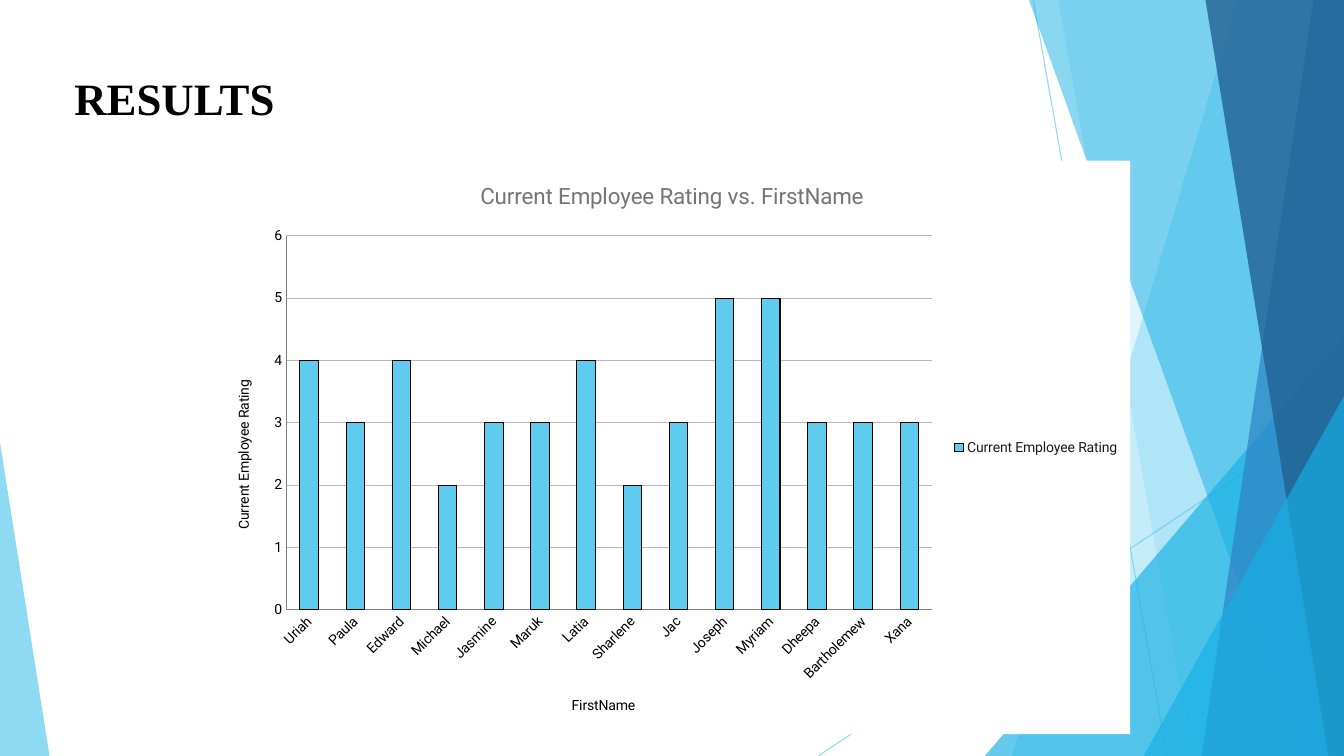
from lxml import etree
from pptx import Presentation
from pptx.chart.data import CategoryChartData
from pptx.dml.color import RGBColor
from pptx.enum import chart as charts, shapes, text
from pptx.oxml import parse_xml
from pptx.oxml.ns import nsdecls, qn
from pptx.util import Cm, Pt

COLOURS = {
    "sky": "5FCBEF", "cyan": "17B0E4", "blue": "2E83C3", "navy": "226292",
    "black": "000000", "white": "FFFFFF", "grid": "B7B7B7", "axis": "808080",
    "heading": "757575", "legend": "1A1A1A",
}
WIDTH, HEIGHT = 33.87, 19.05
RATINGS = {
    "Uriah": 4, "Paula": 3, "Edward": 4, "Michael": 2, "Jasmine": 3,
    "Maruk": 3, "Latia": 4, "Sharlene": 2, "Jac": 3, "Joseph": 5,
    "Myriam": 5, "Dheepa": 3, "Bartholemew": 3, "Xana": 3,
}
RATING_TITLE = "Current Employee Rating"
RAYS = [((26.04, 0), (29.41, 19.05)), ((33.87, 10.24), (20.62, 19.05))]
FACETS = [
    ("band", 31.19, 25.5, "sky", 36),
    ("band", 26.67, 30.05, "sky", 20),
    ("corner", 9.05, 10.59, "cyan", 66),
    ("band", 25.93, 32.79, "cyan", 50),
    ("band", 33.1, 30.28, "blue", 70),
    ("band", 30.38, 33.48, "navy", 80),
    ("corner", 5.05, 9.07, "cyan", 66),
]


def rgb(name):
    return RGBColor.from_string(COLOURS[name])


def set_opacity(element, percent):
    colour = next(element.iter(qn("a:srgbClr")))
    etree.SubElement(colour, qn("a:alpha")).set("val", str(percent * 1000))


def style_facet(shape, colour, opacity):
    shape.shadow.inherit = False
    shape.fill.solid()
    shape.fill.fore_color.rgb = rgb(colour)
    shape.line.fill.background()
    set_opacity(shape._element.spPr, opacity)


def add_ray(slide, start, end):
    ray = slide.shapes.add_connector(
        shapes.MSO_CONNECTOR.STRAIGHT, *map(Cm, start + end))
    ray.line.color.rgb = rgb("sky")
    ray.line.width = Pt(0.75)
    set_opacity(ray._element.spPr, 70)
    etree.SubElement(ray._element.spPr, qn("a:effectLst"))


def add_band(slide, top_x, bottom_x, right, height):
    builder = slide.shapes.build_freeform(Cm(top_x), 0)
    builder.add_line_segments([
        (Cm(right), 0), (Cm(right), Cm(height)), (Cm(bottom_x), Cm(height))])
    return builder.convert_to_shape()


def add_corner(slide, left, bottom, width, height, apex):
    corner = slide.shapes.add_shape(
        shapes.MSO_SHAPE.ISOSCELES_TRIANGLE,
        Cm(left), Cm(bottom - height), Cm(width), Cm(height))
    corner.adjustments[0] = apex
    return corner


def add_backdrop(slide, width, height):
    for start, end in RAYS:
        add_ray(slide, start, end)
    for kind, first, second, colour, opacity in FACETS:
        if kind == "band":
            facet = add_band(slide, first, second, width, height)
        else:
            facet = add_corner(slide, width - first, height, first, second, 1)
        style_facet(facet, colour, opacity)
    style_facet(add_corner(slide, 0, height, 1.25, 7.9, 0), "sky", 70)


def add_title(slide, left, top, width, height):
    title = slide.shapes.title
    title.left, title.top, title.width, title.height = map(
        Cm, (left, top, width, height))
    frame = title.text_frame
    frame.text = "RESULTS"
    frame.vertical_anchor = text.MSO_ANCHOR.MIDDLE
    frame.margin_bottom = Cm(0.28)
    paragraph = frame.paragraphs[0]
    paragraph.alignment = text.PP_ALIGN.LEFT
    set_font(paragraph.font, 32, "black", "Times New Roman", True)


def set_font(font, size, colour, name="Roboto", bold=False):
    font.size = Pt(size)
    font.name = name
    font.bold = bold
    font.color.rgb = rgb(colour)


def write_chart_title(title, wording, size, colour):
    title.text_frame.text = wording
    set_font(title.text_frame.paragraphs[0].font, size, colour)


def format_axis(axis, wording):
    axis.has_title = True
    write_chart_title(axis.axis_title, wording, 10, "black")
    axis.major_tick_mark = axis.minor_tick_mark = charts.XL_TICK_MARK.NONE
    set_font(axis.tick_labels.font, 10, "black")
    axis.format.line.color.rgb = rgb("axis")
    axis.format.line.width = Pt(0.75)


def fix_plot_area(chart, x, y, w, h):
    plot_area = chart._chartSpace.chart.plotArea
    for layout in plot_area.findall(qn("c:layout")):
        plot_area.remove(layout)
    sizes = "".join(f'<c:{key} val="{value}"/>' for key, value in
                    (("x", x), ("y", y), ("w", w), ("h", h)))
    plot_area.insert(0, parse_xml(
        f'<c:layout {nsdecls("c")}><c:manualLayout>'
        '<c:layoutTarget val="inner"/><c:xMode val="edge"/>'
        f'<c:yMode val="edge"/>{sizes}</c:manualLayout></c:layout>'))


def fill_chart_area(chart, colour):
    chart._chartSpace.find(qn("c:txPr")).addprevious(parse_xml(
        f'<c:spPr {nsdecls("c", "a")}><a:solidFill>'
        f'<a:srgbClr val="{COLOURS[colour]}"/></a:solidFill>'
        '<a:ln><a:noFill/></a:ln></c:spPr>'))


def add_rating_chart(slide, left, top, width, height):
    data = CategoryChartData()
    data.categories = list(RATINGS)
    data.add_series(RATING_TITLE, list(RATINGS.values()))
    chart = slide.shapes.add_chart(
        charts.XL_CHART_TYPE.COLUMN_CLUSTERED,
        *map(Cm, (left, top, width, height)), data).chart
    set_font(chart.font, 10, "black")
    fill_chart_area(chart, "white")
    fix_plot_area(chart, 1.82 / width, 1.89 / height,
                  16.29 / width, 9.43 / height)

    chart.has_title = True
    write_chart_title(
        chart.chart_title, f"{RATING_TITLE} vs. FirstName", 16, "heading")
    chart.chart_title.include_in_layout = False
    chart.has_legend = True
    chart.legend.position = charts.XL_LEGEND_POSITION.RIGHT
    chart.legend.include_in_layout = False
    set_font(chart.legend.font, 10, "legend")

    names, scale = chart.category_axis, chart.value_axis
    format_axis(names, "FirstName")
    format_axis(scale, RATING_TITLE)
    names._element.find(qn("c:txPr")).find(qn("a:bodyPr")).set("rot", "-2700000")
    scale.minimum_scale, scale.maximum_scale, scale.major_unit = 0, 6, 1
    scale.major_gridlines.format.line.color.rgb = rgb("grid")
    scale.major_gridlines.format.line.width = Pt(0.75)

    plot = chart.plots[0]
    plot.vary_by_categories = False
    plot.gap_width = 150
    columns = plot.series[0].format
    columns.fill.solid()
    columns.fill.fore_color.rgb = rgb("sky")
    columns.line.color.rgb = rgb("black")
    columns.line.width = Pt(0.75)


def main():
    presentation = Presentation()
    presentation.slide_width = Cm(WIDTH)
    presentation.slide_height = Cm(HEIGHT)
    slide = presentation.slides.add_slide(presentation.slide_layouts[5])
    add_backdrop(slide, WIDTH, HEIGHT)
    add_title(slide, 1.62, 1.65, 19.28, 1.78)
    add_rating_chart(slide, 5.39, 4.05, 23.09, 14.45)
    presentation.save("out.pptx")


if __name__ == "__main__":
    main()
